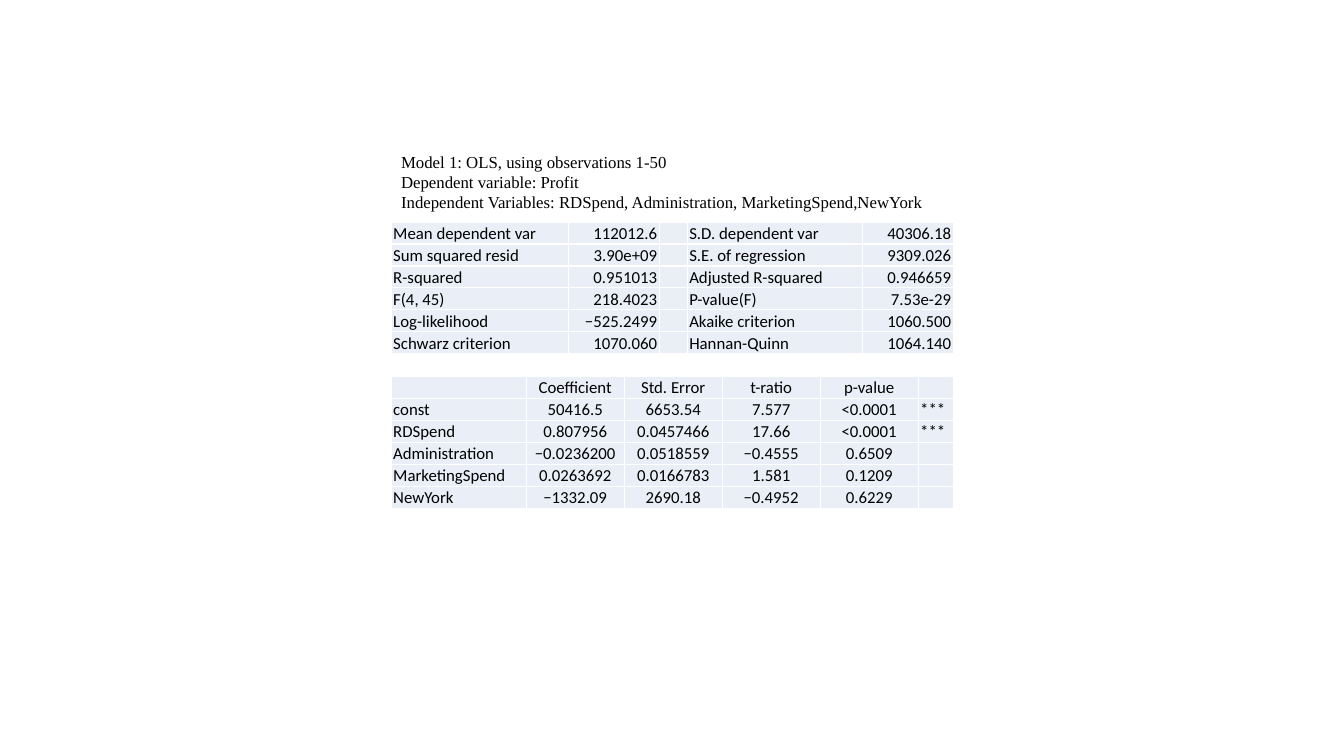
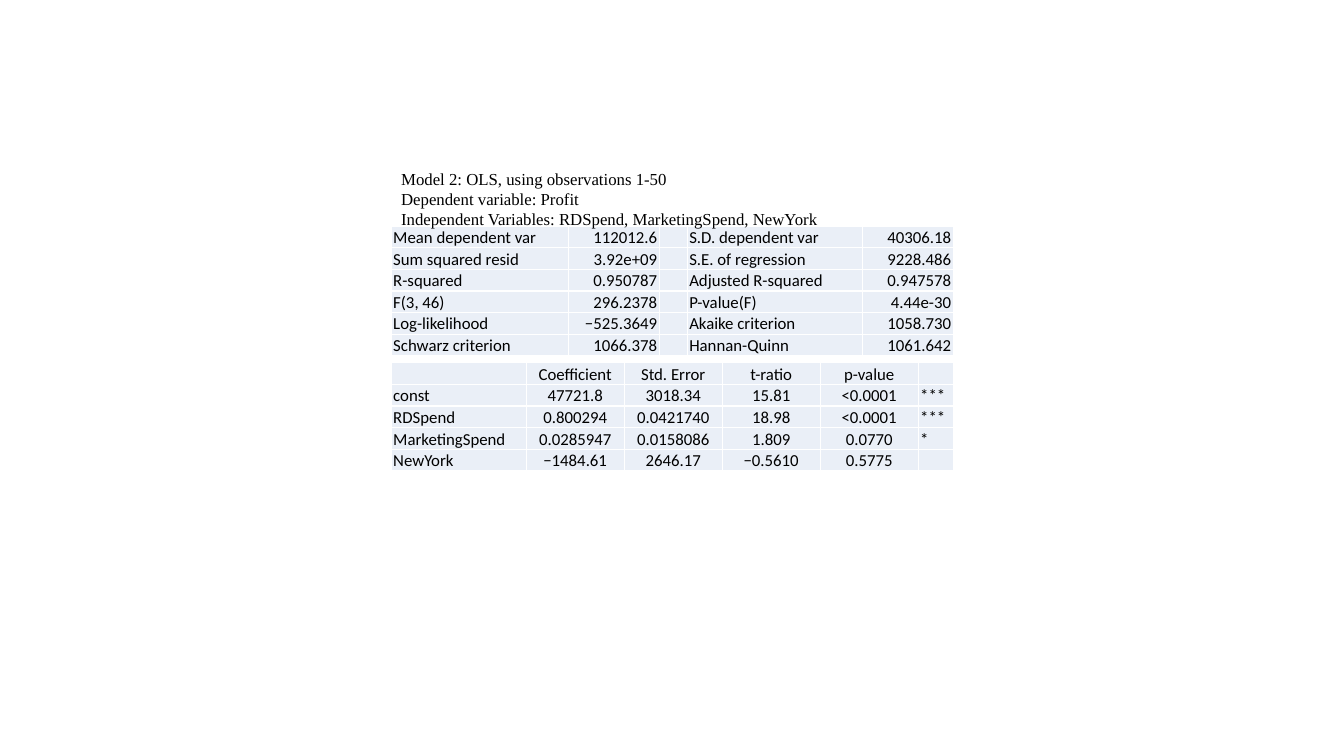
from pptx import Presentation
from pptx.dml.color import RGBColor
from pptx.enum.text import MSO_ANCHOR, PP_ALIGN
from pptx.oxml import parse_xml
from pptx.util import Pt

# Shared style
BLACK, WHITE, PALE_BLUE = "000000", "FFFFFF", "EAEFF7"
LEFT = 279.4
ROW_HEIGHT = 13
STAT_WIDTHS = [126.5, 65, 20, 125, 65]
STAT_ALIGN = "lrllr"
COEF_WIDTHS = [96.5, 70, 70, 70, 70, 25]
COEF_ALIGN = "lccccl"
COEF_HEAD = ["", "Coefficient", "Std. Error", "t-ratio", "p-value", ""]
ALIGN = {"l": PP_ALIGN.LEFT, "c": PP_ALIGN.CENTER, "r": PP_ALIGN.RIGHT}
NS = "http://schemas.openxmlformats.org/drawingml/2006/main"


def style(p, name):
    p.font.name, p.font.size = name, Pt(12)
    p.font.color.rgb = RGBColor.from_string(BLACK)


def add_grid(s, top, rows, widths, align):
    frame = s.shapes.add_table(len(rows), len(widths), Pt(LEFT), Pt(top),
                               Pt(sum(widths)), Pt(ROW_HEIGHT * len(rows)))
    table = frame.table
    table.first_row = table.horz_banding = False
    for column, width in zip(table.columns, widths):
        column.width = Pt(width)
    for i, row in enumerate(rows):
        for j, text in enumerate(row):
            cell = table.cell(i, j)
            cell.margin_left = cell.margin_right = Pt(1.5)
            cell.margin_top = cell.margin_bottom = 0
            p = cell.text_frame.paragraphs[0]
            p.text = text
            p.alignment, p.line_spacing = ALIGN[align[j]], 1.07
            style(p, "Calibri")
            if not text:
                # Keeps an empty cell from stretching its row
                p._p.get_or_add_endParaRPr().set("sz", "1200")
            # White borders come before the fill in the cell properties
            for side in ("lnL", "lnR", "lnT", "lnB"):
                cell._tc.get_or_add_tcPr().append(parse_xml(
                    f'<a:{side} xmlns:a="{NS}" w="12700"><a:solidFill>'
                    f'<a:srgbClr val="{WHITE}"/></a:solidFill></a:{side}>'))
            cell.fill.solid()
            cell.fill.fore_color.rgb = RGBColor.from_string(PALE_BLUE)


# Regression results
STAT_NAMES = [("Mean dependent var", "S.D. dependent var"),
              ("Sum squared resid", "S.E. of regression"),
              ("R-squared", "Adjusted R-squared"),
              ("F({})", "P-value(F)"),
              ("Log-likelihood", "Akaike criterion"),
              ("Schwarz criterion", "Hannan-Quinn")]

models = [
    dict(
        caption_box=(104.5, 391.7, 72.7), stats_top=158.6, coefs_top=268.9,
        variables="RDSpend, Administration, MarketingSpend,NewYork",
        freedom="4, 45",
        stats=[("112012.6", "40306.18"), ("3.90e+09", "9309.026"),
               ("0.951013", "0.946659"), ("218.4023", "7.53e-29"),
               ("−525.2499", "1060.500"), ("1070.060", "1064.140")],
        coefs=[
            ["const", "50416.5", "6653.54", "7.577", "<0.0001", "***"],
            ["RDSpend", "0.807956", "0.0457466", "17.66", "<0.0001", "***"],
            ["Administration", "−0.0236200", "0.0518559", "−0.4555", "0.6509", ""],
            ["MarketingSpend", "0.0263692", "0.0166783", "1.581", "0.1209", ""],
            ["NewYork", "−1332.09", "2690.18", "−0.4952", "0.6229", ""]]),
    dict(
        caption_box=(117, 315.4, 82), stats_top=161.6, coefs_top=259.2,
        variables="RDSpend, MarketingSpend, NewYork",
        freedom="3, 46",
        stats=[("112012.6", "40306.18"), ("3.92e+09", "9228.486"),
               ("0.950787", "0.947578"), ("296.2378", "4.44e-30"),
               ("−525.3649", "1058.730"), ("1066.378", "1061.642")],
        coefs=[
            ["const", "47721.8", "3018.34", "15.81", "<0.0001", "***"],
            ["RDSpend", "0.800294", "0.0421740", "18.98", "<0.0001", "***"],
            ["MarketingSpend", "0.0285947", "0.0158086", "1.809", "0.0770", "*"],
            ["NewYork", "−1484.61", "2646.17", "−0.5610", "0.5775", ""]]),
]

prs = Presentation()
prs.slide_width, prs.slide_height = Pt(960), Pt(540)

# One slide per model
for number, model in enumerate(models, 1):
    s = prs.slides.add_slide(prs.slide_layouts[6])

    # Coefficients and summary statistics
    add_grid(s, model["coefs_top"], [COEF_HEAD] + model["coefs"],
             COEF_WIDTHS, COEF_ALIGN)
    stat_rows = [[first.format(model["freedom"]), a, "", second, b]
                 for (first, second), (a, b) in zip(STAT_NAMES, model["stats"])]
    add_grid(s, model["stats_top"], stat_rows, STAT_WIDTHS, STAT_ALIGN)

    # Caption
    top, width, height = model["caption_box"]
    tf = s.shapes.add_textbox(Pt(LEFT), Pt(top), Pt(width), Pt(height)).text_frame
    tf.word_wrap = False
    tf.vertical_anchor = MSO_ANCHOR.TOP
    tf.text = (f"Model {number}: OLS, using observations 1-50\n"
               "Dependent variable: Profit\n"
               f"Independent Variables: {model['variables']}")
    for p in tf.paragraphs:
        style(p, "Times New Roman")

prs.save("out.pptx")
